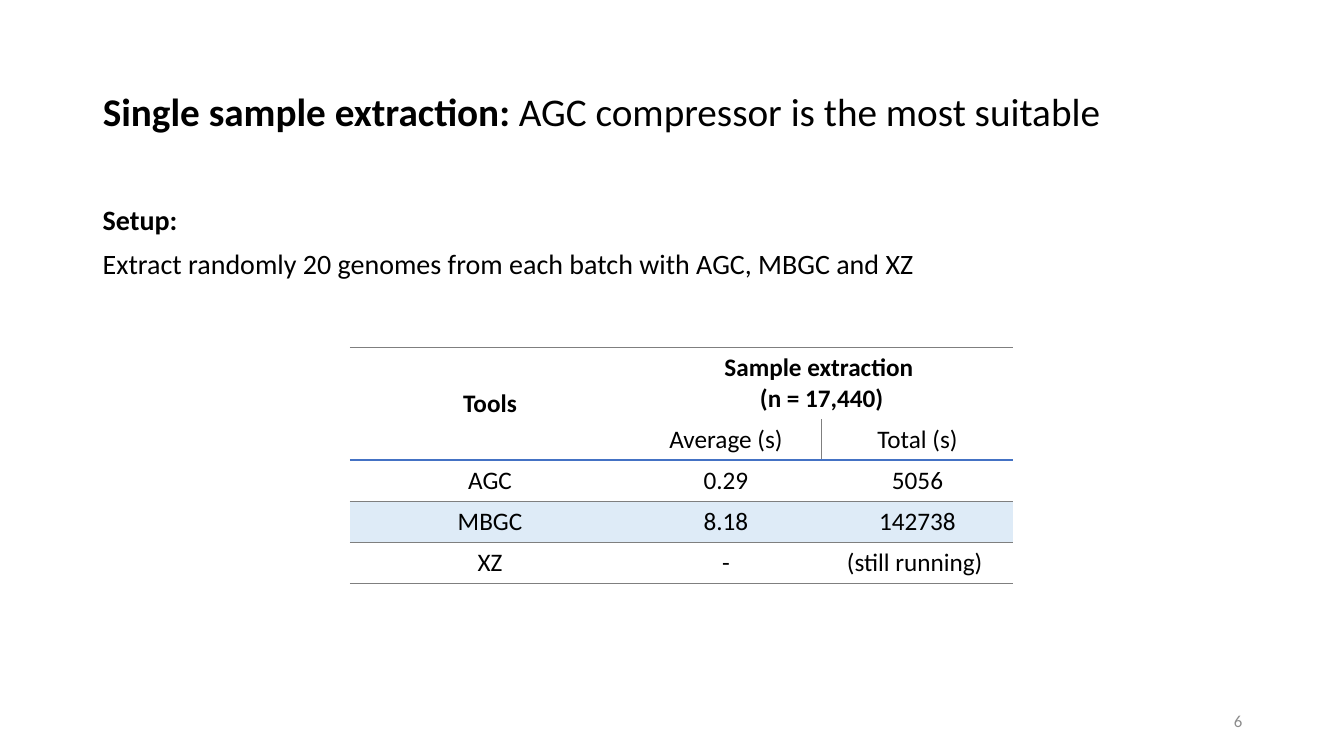
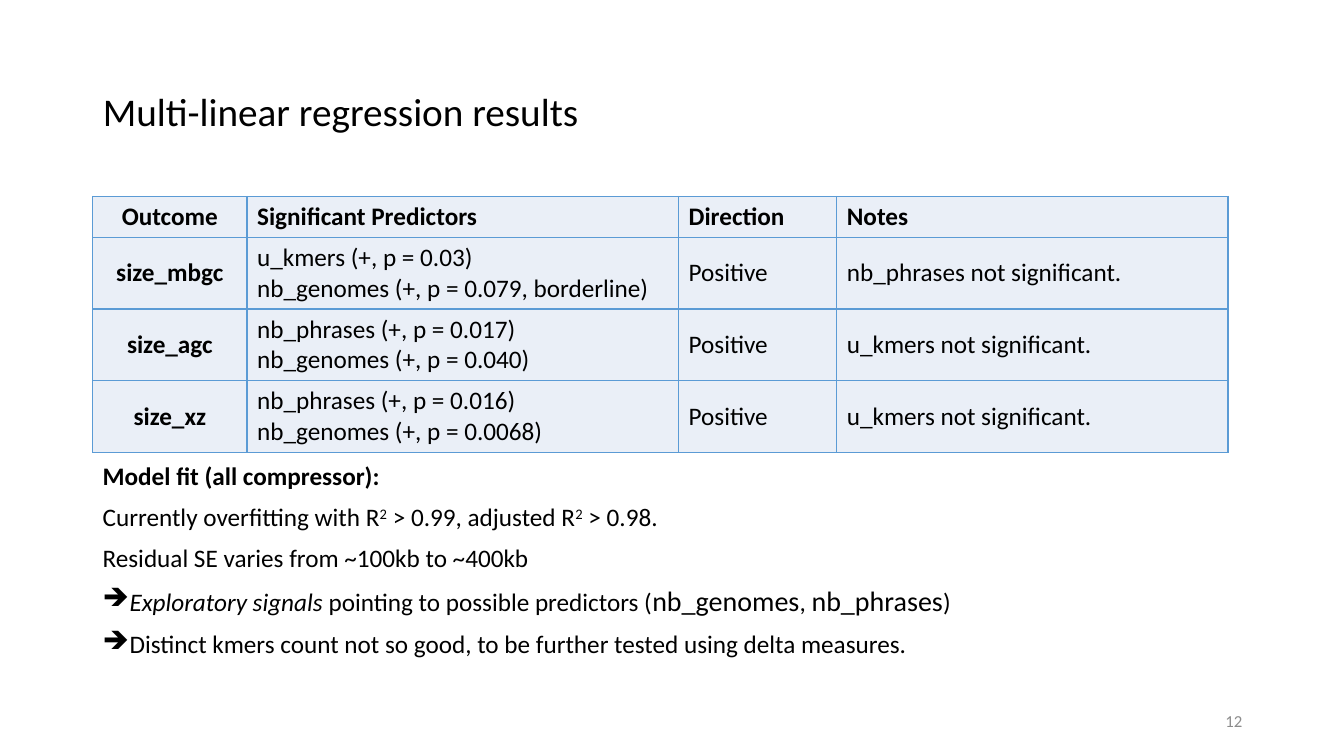
from dataclasses import dataclass
from typing import Optional, Sequence

from lxml import etree
from pptx import Presentation
from pptx.dml import color
from pptx.enum import text
from pptx.oxml import ns
from pptx.util import Inches, Pt

FONT = "Calibri"
BLACK, NUMBER_GREY, RULE_GREY = "000000", "8C8C8C", "7F7F7F"
HEADER_BLUE, GRID_BLUE = "4472C4", "5B9BD5"
BAND_BLUE, PALE_BLUE = "DEEBF7", "EAEFF7"
MARGIN, CONTENT_WIDTH = 0.92, 11.5
PLAIN_TABLE = "{2D5ABB26-0587-4C30-8999-92F81FD0307C}"
LEFT, CENTER, RIGHT = text.PP_ALIGN.LEFT, text.PP_ALIGN.CENTER, text.PP_ALIGN.RIGHT
MIDDLE, TOP = text.MSO_ANCHOR.MIDDLE, text.MSO_ANCHOR.TOP


@dataclass(frozen=True)
class Run:
    words: str
    bold: bool = False
    italic: bool = False
    size: Optional[float] = None
    raised: bool = False


@dataclass(frozen=True)
class Para:
    runs: Sequence[Run]
    align: text.PP_ALIGN = LEFT
    spacing: float = 1.0
    before: float = 0
    bullet: str = ""


@dataclass(frozen=True)
class Edge:
    side: str
    colour: str
    width: float


@dataclass(frozen=True)
class Cell:
    lines: Sequence[str]
    bold: bool = False
    align: text.PP_ALIGN = CENTER
    fill: str = ""
    edges: Sequence[Edge] = ()


def rgb(value: str) -> color.RGBColor:
    return color.RGBColor.from_string(value)


def write(frame, paras: Sequence[Para], size: float, colour: str = BLACK) -> None:
    for index, para in enumerate(paras):
        p = frame.add_paragraph() if index else frame.paragraphs[0]
        p.alignment = para.align
        p.line_spacing = para.spacing
        p.space_before = Pt(para.before)
        if para.bullet:
            props = p._p.get_or_add_pPr()
            props.set("marL", str(Inches(0.25)))
            props.set("indent", str(Inches(-0.25)))
            etree.SubElement(props, ns.qn("a:buChar")).set("char", para.bullet)
        for part in para.runs:
            run = p.add_run()
            run.text = part.words
            run.font.name = FONT
            run.font.size = Pt(part.size or size)
            run.font.bold = part.bold
            run.font.italic = part.italic
            run.font.color.rgb = rgb(colour)
            if part.raised:
                run._r.get_or_add_rPr().set("baseline", "30000")


def place(shape, left: float, top: float, width: float, height: float, anchor) -> None:
    shape.left, shape.top = Inches(left), Inches(top)
    shape.width, shape.height = Inches(width), Inches(height)
    frame = shape.text_frame
    frame.word_wrap = True
    frame.auto_size = text.MSO_AUTO_SIZE.NONE
    frame.vertical_anchor = anchor


def add_text(slide, left: float, top: float, width: float, height: float,
             paras: Sequence[Para], size: float, colour: str = BLACK, anchor=TOP) -> None:
    box = slide.shapes.add_textbox(0, 0, 0, 0)
    place(box, left, top, width, height, anchor)
    write(box.text_frame, paras, size, colour)


def add_body(slide, top: float, height: float, paras: Sequence[Para], size: float) -> None:
    add_text(slide, MARGIN, top, CONTENT_WIDTH, height, paras, size)


def body_line(*runs: Run, bullet: str = "") -> Para:
    return Para(runs, spacing=0.9, before=10, bullet=bullet)


def start_slide(deck, number: int, *heading: Run):
    slide = deck.slides.add_slide(deck.slide_layouts[5])
    title = slide.shapes.title
    place(title, MARGIN, 0.4, CONTENT_WIDTH, 1.45, MIDDLE)
    write(title.text_frame, [Para(heading, spacing=0.9)], 28)
    add_text(slide, 9.42, 6.95, 3, 0.4, [Para([Run(str(number))], RIGHT)],
             12, NUMBER_GREY, MIDDLE)
    return slide


def draw_edge(cell, edge: Edge) -> None:
    line = etree.SubElement(cell._tc.get_or_add_tcPr(), ns.qn(f"a:ln{edge.side}"))
    line.set("w", str(Pt(edge.width)))
    fill = etree.SubElement(line, ns.qn("a:solidFill"))
    etree.SubElement(fill, ns.qn("a:srgbClr")).set("val", edge.colour)


def add_table(slide, left: float, top: float, widths: Sequence[float],
              heights: Sequence[float], rows: Sequence[Sequence[Cell]]):
    table = slide.shapes.add_table(
        len(heights), len(widths), Inches(left), Inches(top),
        Inches(sum(widths)), Inches(sum(heights))).table
    table.first_row = table.horz_banding = False
    table._tbl.tblPr.find(ns.qn("a:tableStyleId")).text = PLAIN_TABLE
    for column, width in zip(table.columns, widths):
        column.width = Inches(width)
    for row, height in zip(table.rows, heights):
        row.height = Inches(height)
    for r, row in enumerate(rows):
        for c, content in enumerate(row):
            cell = table.cell(r, c)
            cell.vertical_anchor = MIDDLE
            for edge in content.edges:
                draw_edge(cell, edge)
            if content.fill:
                cell.fill.solid()
                cell.fill.fore_color.rgb = rgb(content.fill)
            else:
                cell.fill.background()
            write(cell.text_frame,
                  [Para([Run(words, content.bold)], content.align)
                   for words in content.lines], 18)
    return table


def extraction_edges(row: int, column: int) -> list[Edge]:
    thin, header = (RULE_GREY, 0.5), (HEADER_BLUE, 1.5)
    rules = {0: thin, 2: header, 3: thin, 5: thin}
    edges = []
    if row == 1 and column:
        edges.append(Edge("R" if column == 1 else "L", *thin))
    if row in rules:
        edges.append(Edge("T", *rules[row]))
    if row + 1 in rules:
        edges.append(Edge("B", *rules[row + 1]))
    return edges


def build_extraction(deck) -> None:
    slide = start_slide(deck, 6, Run("Single sample extraction: ", bold=True),
                        Run("AGC compressor is the most suitable"))
    add_body(slide, 2, 1.3, [
        body_line(Run("Setup:", bold=True)),
        body_line(Run("Extract randomly 20 genomes from each batch with AGC, MBGC and XZ")),
    ], 20)
    timings = [
        (["Tools"], ["Sample extraction ", "(n = 17,440)"], []),
        ([], ["Average (s)"], ["Total (s)"]),
        (["AGC"], ["0.29"], ["5056"]),
        (["MBGC"], ["8.18"], ["142738"]),
        (["XZ"], ["-"], ["(still running) "]),
    ]
    rows = [[Cell(lines, bold=r == 0, fill=BAND_BLUE if r == 3 else "",
                  edges=extraction_edges(r, c))
             for c, lines in enumerate(row)] for r, row in enumerate(timings)]
    table = add_table(slide, 3.47, 3.45, [2.78, 1.9, 1.9], [0.71] + [0.405] * 4, rows)
    table.cell(0, 0).merge(table.cell(1, 0))
    table.cell(0, 1).merge(table.cell(0, 2))


def build_regression(deck) -> None:
    slide = start_slide(deck, 12, Run("Multi-linear regression results"))
    findings = [
        (["Outcome"], ["Significant Predictors"], ["Direction"], ["Notes"]),
        (["size_mbgc"], ["u_kmers (+, p = 0.03)", "nb_genomes (+, p = 0.079, borderline)"],
         ["Positive"], ["nb_phrases not significant."]),
        (["size_agc"], ["nb_phrases (+, p = 0.017)", "nb_genomes (+, p = 0.040)"],
         ["Positive"], ["u_kmers not significant."]),
        (["size_xz"], ["nb_phrases (+, p = 0.016)", "nb_genomes (+, p = 0.0068)"],
         ["Positive"], ["u_kmers not significant."]),
    ]
    grid = [Edge(side, GRID_BLUE, 1) for side in "LRTB"]
    rows = [[Cell(lines, bold=r == 0 or c == 0, align=LEFT if c else CENTER,
                  fill=PALE_BLUE, edges=grid)
             for c, lines in enumerate(row)] for r, row in enumerate(findings)]
    add_table(slide, MARGIN, 1.95, [1.53, 4.28, 1.57, 3.88], [0.4] + [0.71] * 3, rows)
    squared = Run("2", raised=True)
    add_body(slide, 4.55, 2.04, [
        body_line(Run("Model fit (all compressor):", bold=True)),
        body_line(Run("Currently overfitting with R"), squared,
                  Run(" > 0.99, adjusted R"), squared, Run(" > 0.98.")),
        body_line(Run("Residual SE varies from ~100kb to ~400kb")),
        body_line(Run("Exploratory signals", italic=True),
                  Run(" pointing to possible predictors ("),
                  Run("nb_genomes", size=20), Run(", "),
                  Run("nb_phrases", size=20), Run(")"), bullet="➔"),
        body_line(Run("Distinct kmers count not so good, to be further tested "
                      "using delta measures."), bullet="➔"),
    ], 18)


def main() -> None:
    deck = Presentation()
    deck.slide_width, deck.slide_height = Inches(13.33), Inches(7.5)
    build_extraction(deck)
    build_regression(deck)
    deck.save("out.pptx")


if __name__ == "__main__":
    main()
